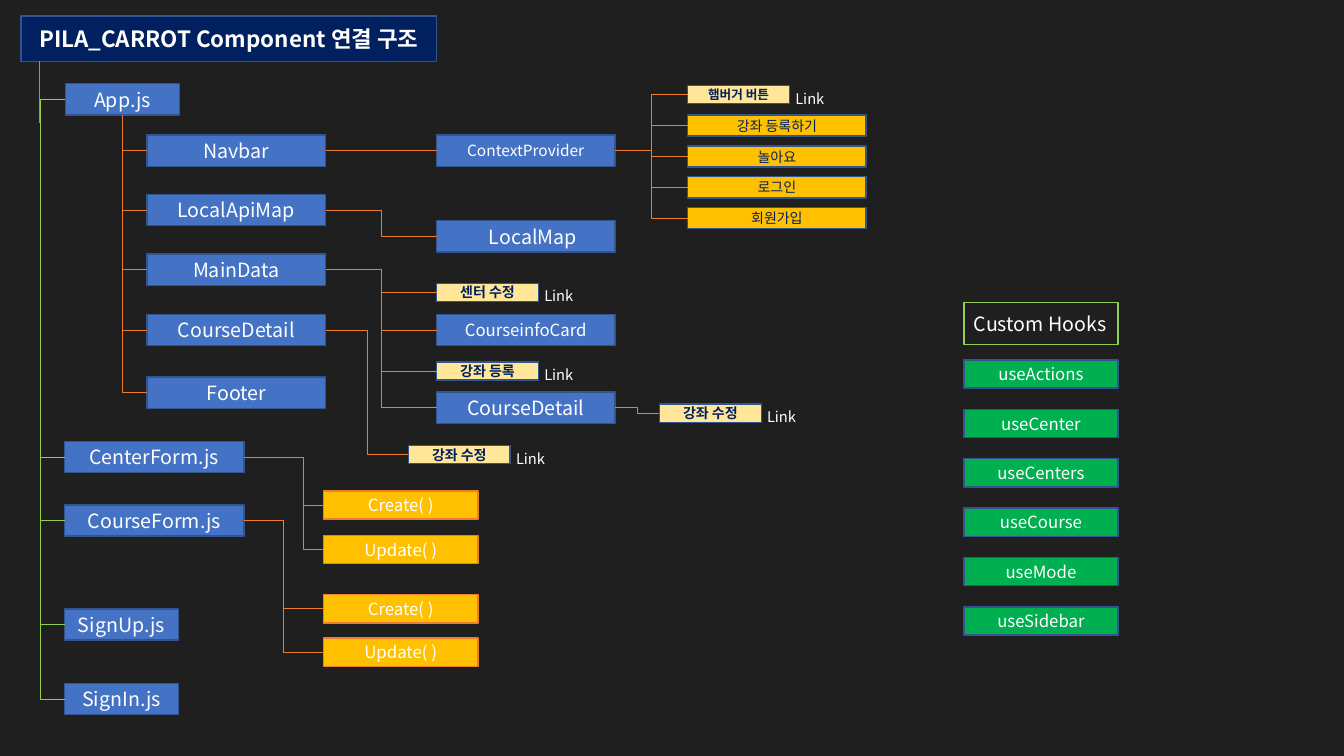
import collections
import pptx
import pptx.util
import pptx.dml.color
import pptx.enum.shapes
import pptx.enum.text
import pptx.oxml.ns
import lxml.etree

Inches = pptx.util.Inches
Box = collections.namedtuple("Box", "left top width height")
Style = collections.namedtuple("Style", "fill line text size bold")
ALIGN = pptx.enum.text.PP_ALIGN
CONNECTOR = pptx.enum.shapes.MSO_CONNECTOR
TOP, LEFT, BOTTOM, RIGHT = range(4)
FONT = "Noto Sans CJK KR"
COLORS = {
    "page": "1F1F1F", "navy": "002060", "edge": "325491", "white": "FFFFFF",
    "blue": "4472C4", "orange": "ED7D31", "cream": "FFE699", "amber": "FFC000",
    "green": "00B050", "lime": "92D050", "stem": "70AD47",
}
STYLES = {
    "title": Style("navy", "edge", "white", 16, True),
    "component": Style("blue", "edge", "white", 14, False),
    "tag": Style("cream", "edge", "navy", 10, True),
    "menu": Style("amber", "edge", "navy", 10, False),
    "action": Style("amber", "orange", "white", 12, False),
    "hook": Style("green", "edge", "white", 12, False),
    "heading": Style(None, "lime", "white", 14, False),
    "link": Style(None, None, "white", 10.5, False),
}


def color(name):
    return pptx.dml.color.RGBColor.from_string(COLORS[name])


def write(shape, text, style, align):
    para = shape.text_frame.paragraphs[0]
    para.alignment = align
    span = para.add_run()
    span.text = text
    span.font.name = FONT
    span.font.size = pptx.util.Pt(style.size)
    span.font.bold = style.bold
    span.font.color.rgb = color(style.text)
    asian = lxml.etree.SubElement(span.font._element, pptx.oxml.ns.qn("a:ea"))
    asian.set("typeface", FONT)


def decorate(shape, text, style, align=ALIGN.CENTER):
    if style.fill:
        shape.fill.solid()
        shape.fill.fore_color.rgb = color(style.fill)
    else:
        shape.fill.background()
    shape.line.color.rgb = color(style.line)
    shape.line.width = pptx.util.Pt(1)
    shape.text_frame.word_wrap = True
    shape.text_frame.vertical_anchor = pptx.enum.text.MSO_ANCHOR.MIDDLE
    write(shape, text, style, align)


def add_block(page, box, text, style, align=ALIGN.CENTER):
    shape = page.shapes.add_shape(
        pptx.enum.shapes.MSO_SHAPE.RECTANGLE, *map(Inches, box))
    shape.shadow.inherit = False
    decorate(shape, text, style, align)
    return shape


def add_tag(page, left, top, text, size=10):
    tag = add_block(page, Box(left, top, 1.01, 0.18), text,
                    STYLES["tag"]._replace(size=size))
    link = page.shapes.add_textbox(
        *map(Inches, (left + 0.97, top - 0.01, 0.64, 0.26)))
    link.text_frame.word_wrap = True
    write(link, "Link", STYLES["link"], ALIGN.LEFT)
    return tag


def style_line(line, name):
    line.line.color.rgb = color(name)
    line.line.width = pptx.util.Pt(0.5)
    lxml.etree.SubElement(line._element.spPr, pptx.oxml.ns.qn("a:effectLst"))


def join(page, start, end, bend=0.5, name="orange", sides=(RIGHT, LEFT)):
    line = page.shapes.add_connector(CONNECTOR.ELBOW, 0, 0, 0, 0)
    line.begin_connect(start, sides[0])
    line.end_connect(end, sides[1])
    style_line(line, name)
    guides = line._element.spPr.prstGeom.get_or_add_avLst()
    guide = lxml.etree.SubElement(guides, pptx.oxml.ns.qn("a:gd"))
    guide.set("name", "adj1")
    guide.set("fmla", f"val {round(bend * 100000)}")
    return line


def hang(page, parent, child):
    line = join(page, parent, child, sides=(BOTTOM, LEFT))
    across, down = line.width, line.height
    line.left += (across - down) // 2
    line.top += (down - across) // 2
    line.width, line.height = down, across
    geometry = line._element.spPr.prstGeom
    geometry.set("prst", "bentConnector2")
    geometry.avLst.clear()
    frame = line._element.spPr.find(pptx.oxml.ns.qn("a:xfrm"))
    frame.set("rot", "16200000")
    frame.set("flipH", "1")


def draw_title(page, box):
    title = page.shapes.title
    title.left, title.top, title.width, title.height = map(Inches, box)
    decorate(title, "PILA_CARROT Component 연결 구조", STYLES["title"])
    title.text_frame.margin_left = title.text_frame.margin_right = Inches(0.05)
    stem = page.shapes.add_connector(CONNECTOR.STRAIGHT, *map(Inches, (
        box.left + 0.18, box.top + 1.06, box.left + 0.18, box.top + box.height)))
    style_line(stem, "stem")


def draw_files(page, box):
    app = add_block(page, Box(box.left + 0.01, box.top, 1.13, 0.31),
                    "App.js", STYLES["component"])
    files = {"App.js": app}
    for name, offset, width in (("CenterForm.js", 3.55, box.width),
                                ("CourseForm.js", 4.18, box.width),
                                ("SignUp.js", 5.21, 1.13),
                                ("SignIn.js", 5.95, 1.13)):
        files[name] = add_block(page, Box(box.left, box.top + offset, width, 0.31),
                                name, STYLES["component"])
        join(page, app, files[name], 25, "lime", (LEFT, LEFT))
    return files


def draw_components(page, box, app):
    parts = {}
    for name, offset in (("Navbar", 0), ("LocalApiMap", 0.59), ("MainData", 1.18),
                         ("CourseDetail", 1.78), ("Footer", 2.4)):
        parts[name] = add_block(page, Box(box.left, box.top + offset, box.width, 0.31),
                                name, STYLES["component"])
        hang(page, app, parts[name])
    return parts


def draw_children(page, box, parents):
    children = {}
    for name, offset, size, parent in (("ContextProvider", 0, 11, "Navbar"),
                                       ("LocalMap", 0.85, 14, "LocalApiMap"),
                                       ("CourseinfoCard", 1.78, 12, "MainData"),
                                       ("CourseDetail", 2.55, 14, "MainData")):
        children[name] = add_block(
            page, Box(box.left, box.top + offset, box.width, 0.31), name,
            STYLES["component"]._replace(size=size))
        join(page, parents[parent], children[name])
    children["LocalMap"].text_frame.margin_left = Inches(0.24)
    for text, across, down, parent in (
            ("센터 수정", 0, 1.47, parents["MainData"]),
            ("강좌 등록", 0, 2.25, parents["MainData"]),
            ("강좌 수정", 2.21, 2.67, children["CourseDetail"]),
            ("강좌 수정", -0.28, 3.08, parents["CourseDetail"])):
        join(page, parent, add_tag(page, box.left + across, box.top + down, text))
    return children


def draw_menu(page, box, provider):
    join(page, provider, add_tag(page, box.left, box.top, "햄버거 버튼", 9))
    names = ("강좌 등록하기", "놀아요", "로그인", "회원가입")
    first, height = 0.29, 0.21
    pitch = (box.height - first - height) / (len(names) - 1)
    for index, name in enumerate(names):
        item = add_block(page, Box(box.left, box.top + first + index * pitch,
                                   box.width, height), name, STYLES["menu"])
        join(page, provider, item)


def draw_actions(page, box, form, bend):
    for name, offset in (("Create( )", 0), ("Update( )", box.height - 0.28)):
        action = add_block(page, Box(box.left, box.top + offset, box.width, 0.28),
                           name, STYLES["action"])
        join(page, form, action, bend)


def draw_hooks(page, box):
    add_block(page, box._replace(height=0.42), "Custom Hooks",
              STYLES["heading"], ALIGN.LEFT)
    names = ("useActions", "useCenter", "useCenters", "useCourse", "useMode", "useSidebar")
    for index, name in enumerate(names):
        add_block(page, Box(box.left, box.top + 0.57 + index * 0.49, box.width, 0.28),
                  name, STYLES["hook"])


deck = pptx.Presentation()
deck.slide_width, deck.slide_height = Inches(13.33), Inches(7.5)
page = deck.slides.add_slide(deck.slide_layouts.get_by_name("Title Only"))
page.background.fill.solid()
page.background.fill.fore_color.rgb = color("page")

draw_title(page, Box(0.21, 0.16, 4.12, 0.45))
files = draw_files(page, Box(0.64, 0.83, 1.78, 6.26))
components = draw_components(page, Box(1.46, 1.34, 1.77, 2.71), files["App.js"])
children = draw_children(page, Box(4.33, 1.34, 1.77, 3.26), components)
draw_menu(page, Box(6.82, 0.85, 1.77, 1.42), children["ContextProvider"])
draw_actions(page, Box(3.21, 4.87, 1.53, 0.72), files["CenterForm.js"], 0.74)
draw_actions(page, Box(3.21, 5.9, 1.53, 0.71), files["CourseForm.js"], 0.5)
draw_hooks(page, Box(9.56, 3, 1.53, 3.3))
deck.save("out.pptx")
